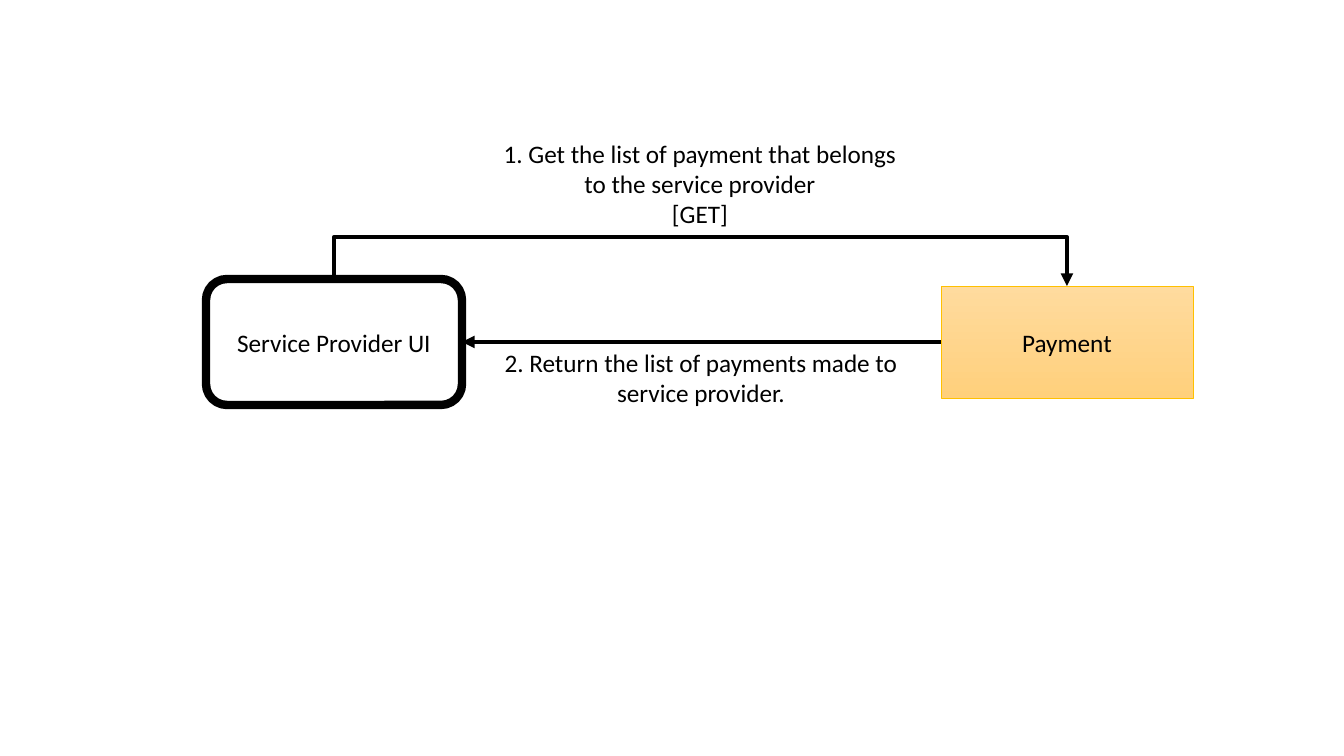
from dataclasses import dataclass

from lxml.etree import SubElement
from pptx import Presentation
from pptx.dml.color import RGBColor
from pptx.enum.shapes import MSO_CONNECTOR, MSO_SHAPE
from pptx.enum.text import MSO_ANCHOR, MSO_AUTO_SIZE, PP_ALIGN
from pptx.oxml.ns import qn
from pptx.util import Emu, Pt

EMU_PER_PIXEL = 914400 / 100.8
TOP, LEFT, RIGHT = 0, 1, 3  # connection sites of a box


@dataclass(frozen=True)
class Theme:
    """Colours, font and sizes of the diagram."""
    ink: str = "000000"
    paper: str = "FFFFFF"
    payment_fill: tuple = ("FFDB9E", "FFD07C")
    payment_line: str = "FFC000"
    font: str = "Calibri"
    text_size: int = 18
    ui_line: float = 6
    payment_line_width: float = 0.5
    arrow_line: float = 3


THEME = Theme()


def px(pixels):
    """Turn pixels into EMU."""
    return Emu(round(pixels * EMU_PER_PIXEL))


def apply(target, formats):
    """Set every attribute in a dict of format values."""
    for name, value in formats.items():
        setattr(target, name, value)


def set_line(item, color, width):
    """Give a shape or connector a solid line."""
    item.line.color.rgb = RGBColor.from_string(color)
    item.line.width = Pt(width)


def write(box, lines, **frame_formats):
    """Write centred paragraphs into a box."""
    frame = box.text_frame
    apply(frame, {"word_wrap": True, **frame_formats})
    frame.text = "\n".join(lines)
    for para in frame.paragraphs:
        para.alignment = PP_ALIGN.CENTER
        for span in para.runs:
            apply(span.font, {"name": THEME.font, "size": Pt(THEME.text_size)})
            span.font.color.rgb = RGBColor.from_string(THEME.ink)


def add_node(page, kind, bounds, label, colors, line):
    """Add a labelled box with a solid or two-colour gradient fill."""
    box = page.shapes.add_shape(kind, *map(px, bounds))
    box.shadow.inherit = False
    if len(colors) == 1:
        box.fill.solid()
        box.fill.fore_color.rgb = RGBColor.from_string(colors[0])
    else:
        box.fill.gradient()
        box.fill.gradient_angle = 270
        for stop, color in zip(box.fill.gradient_stops, colors):
            stop.color.rgb = RGBColor.from_string(color)
    set_line(box, *line)
    write(box, [label], vertical_anchor=MSO_ANCHOR.MIDDLE)
    return box


def add_arrow(page, kind, source, source_site, target, target_site):
    """Join two boxes with an arrow."""
    arrow = page.shapes.add_connector(kind, 0, 0, 0, 0)
    arrow.begin_connect(source, source_site)
    arrow.end_connect(target, target_site)
    set_line(arrow, THEME.ink, THEME.arrow_line)
    SubElement(arrow.line._get_or_add_ln(), qn("a:tailEnd"), type="triangle")
    SubElement(arrow._element.spPr, qn("a:effectLst"))
    return arrow


def bend_over(arrow, rise):
    """Turn a bent arrow so that it leaves upwards and runs above both boxes."""
    across, drop = arrow.width, arrow.height
    center_x, center_y = arrow.left + across // 2, arrow.top + drop // 2
    apply(arrow, {"left": center_x - drop // 2, "top": center_y - across // 2,
                  "width": drop, "height": across})
    properties = arrow._element.spPr
    apply(properties.find(qn("a:xfrm")), {"rot": 270, "flipH": True})
    guides = properties.find(qn("a:prstGeom")).get_or_add_avLst()
    ratio = round(-100000 * px(rise) / drop)
    SubElement(guides, qn("a:gd"), name="adj1", fmla=f"val {ratio}")


def add_caption(page, bounds, lines):
    """Add a centred text box."""
    box = page.shapes.add_textbox(*map(px, bounds))
    write(box, lines, auto_size=MSO_AUTO_SIZE.SHAPE_TO_FIT_TEXT)


def main():
    """Build the payment list diagram."""
    deck = Presentation()
    apply(deck, {"slide_width": px(1344), "slide_height": px(756)})
    page = deck.slides.add_slide(deck.slide_layouts[6])

    provider = add_node(page, MSO_SHAPE.ROUNDED_RECTANGLE, (206, 279, 256, 126),
                        "Service Provider UI", (THEME.paper,),
                        (THEME.ink, THEME.ui_line))
    payment = add_node(page, MSO_SHAPE.RECTANGLE, (941, 286, 252, 112),
                       "Payment", THEME.payment_fill,
                       (THEME.payment_line, THEME.payment_line_width))

    request = add_arrow(page, MSO_CONNECTOR.ELBOW, provider, TOP, payment, TOP)
    bend_over(request, 42)
    add_arrow(page, MSO_CONNECTOR.STRAIGHT, payment, LEFT, provider, RIGHT)

    add_caption(page, (489, 133, 422, 102),
                ["1. Get the list of payment that belongs to the service provider",
                 "[GET]"])
    add_caption(page, (490, 342, 422, 72),
                ["2. Return the list of payments made to service provider."])
    deck.save("out.pptx")


main()
